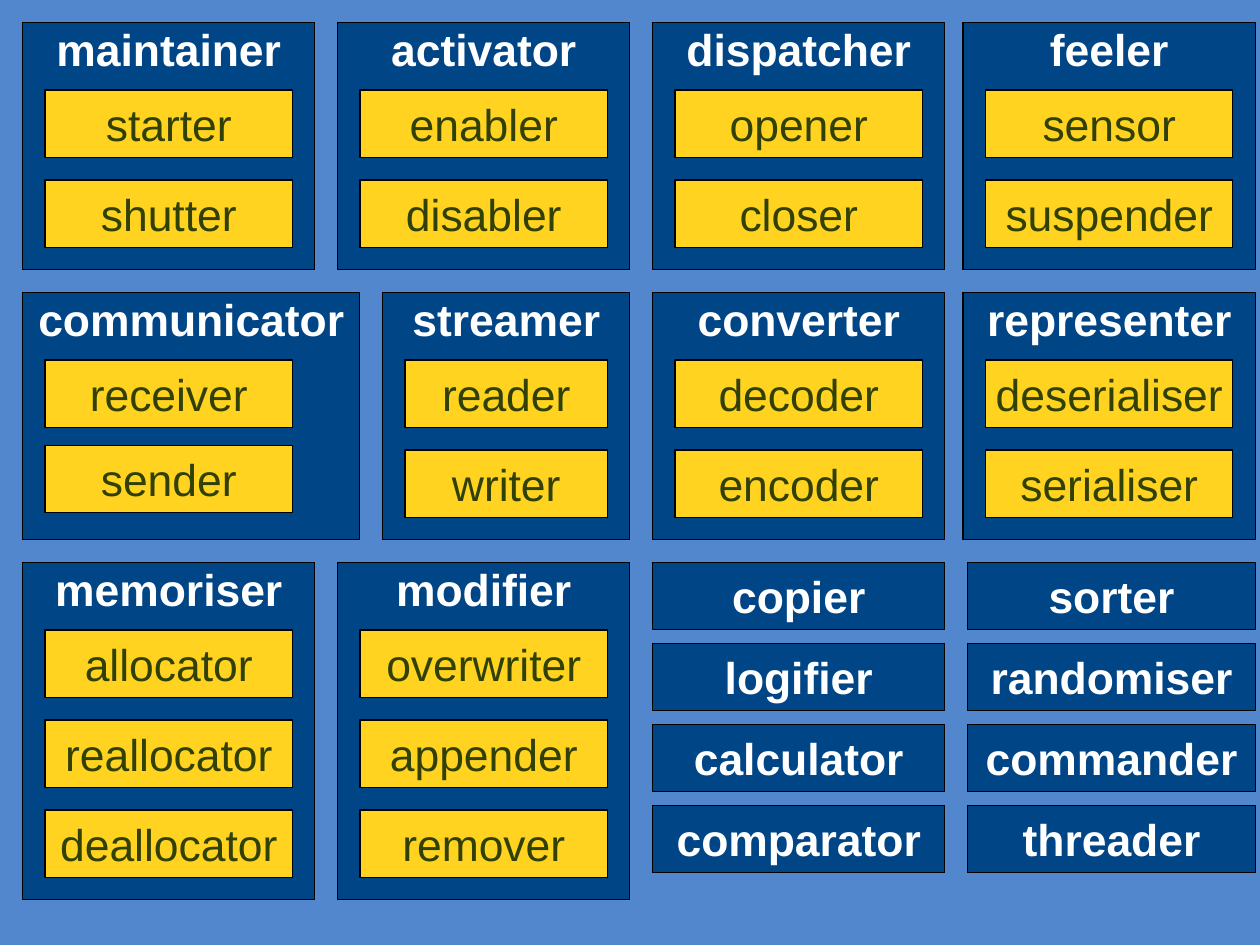
from pptx import Presentation
from pptx.dml.color import RGBColor
from pptx.enum.shapes import MSO_SHAPE
from pptx.enum.text import MSO_ANCHOR, PP_ALIGN
from pptx.util import Pt

COLORS = {
    "background": "5287CE",
    "panel": "004586",
    "panel_text": "FFFFFF",
    "item": "FFD320",
    "item_text": "314004",
    "outline": "000000",
}
GAP = 14.17
BOX_HEIGHT = 42.52
HEADER_HEIGHT = 42.52
ITEM_PITCH = 56.69
SINGLE_PITCH = 51.02
ROW_TOPS = [GAP + row * 170.08 for row in range(3)]
COLUMN_LEFTS = [GAP, 212.6, 411.02, 606.6]
PANEL_WIDTH = 184.25
ITEM_WIDTH = PANEL_WIDTH - 2 * GAP

# Row, left, panel width, item width, item pitch, heading, items
REGULAR = (PANEL_WIDTH, ITEM_WIDTH, ITEM_PITCH)
PANELS = [
    (0, COLUMN_LEFTS[0], *REGULAR, "maintainer", ["starter", "shutter"]),
    (0, COLUMN_LEFTS[1], *REGULAR, "activator", ["enabler", "disabler"]),
    (0, COLUMN_LEFTS[2], *REGULAR, "dispatcher", ["opener", "closer"]),
    (0, COLUMN_LEFTS[3], *REGULAR, "feeler", ["sensor", "suspender"]),
    (1, COLUMN_LEFTS[0], 212.6, ITEM_WIDTH, 53.86, "communicator", ["receiver", "sender"]),
    (1, 240.94, 155.91, 127.56, ITEM_PITCH, "streamer", ["reader", "writer"]),
    (1, COLUMN_LEFTS[2], *REGULAR, "converter", ["decoder", "encoder"]),
    (1, COLUMN_LEFTS[3], *REGULAR, "representer", ["deserialiser", "serialiser"]),
    (2, COLUMN_LEFTS[0], *REGULAR, "memoriser", ["allocator", "reallocator", "deallocator"]),
    (2, COLUMN_LEFTS[1], *REGULAR, "modifier", ["overwriter", "appender", "remover"]),
]
# Left, width, labels
SINGLES = [
    (COLUMN_LEFTS[2], PANEL_WIDTH, ["copier", "logifier", "calculator", "comparator"]),
    (609.45, 181.42, ["sorter", "randomiser", "commander", "threader"]),
]


def color(name):
    return RGBColor.from_string(COLORS[name])


def add_box(shapes, left, top, width, height, label, style="panel",
            anchor=MSO_ANCHOR.MIDDLE, inset=0):
    shape = shapes.add_shape(MSO_SHAPE.RECTANGLE, Pt(left), Pt(top), Pt(width), Pt(height))
    shape.shadow.inherit = False
    shape.fill.solid()
    shape.fill.fore_color.rgb = color(style)
    shape.line.color.rgb = color("outline")
    shape.line.width = Pt(0)

    frame = shape.text_frame
    frame.word_wrap = False
    frame.vertical_anchor = anchor
    frame.margin_left = frame.margin_right = Pt(inset)
    frame.margin_top = frame.margin_bottom = Pt(inset)
    paragraph = frame.paragraphs[0]
    paragraph.alignment = PP_ALIGN.CENTER
    run = paragraph.add_run()
    run.text = label
    run.font.name = "Arial"
    run.font.size = Pt(28)
    run.font.bold = style == "panel"
    run.font.color.rgb = color(f"{style}_text")


def add_panel(slide, row, left, width, item_width, pitch, heading, items):
    """Group a headed panel with its column of items."""
    shapes = slide.shapes.add_group_shape().shapes
    top = ROW_TOPS[row]
    height = HEADER_HEIGHT + len(items) * ITEM_PITCH
    add_box(shapes, left, top, width, height, heading, anchor=MSO_ANCHOR.TOP)
    for index, item in enumerate(items):
        add_box(shapes, left + GAP, top + HEADER_HEIGHT + index * pitch,
                item_width, BOX_HEIGHT, item, style="item", inset=5.67)


def add_singles(slide, left, width, labels):
    """Stack boxes that have no items of their own."""
    for index, label in enumerate(labels):
        add_box(slide.shapes, left, ROW_TOPS[2] + index * SINGLE_PITCH,
                width, BOX_HEIGHT, label)


def main():
    presentation = Presentation()
    presentation.slide_width = Pt(793.7)
    presentation.slide_height = Pt(595.28)
    slide = presentation.slides.add_slide(presentation.slide_layouts[6])
    slide.background.fill.solid()
    slide.background.fill.fore_color.rgb = color("background")

    for panel in PANELS:
        add_panel(slide, *panel)
    for singles in SINGLES:
        add_singles(slide, *singles)

    presentation.save("out.pptx")


if __name__ == "__main__":
    main()
